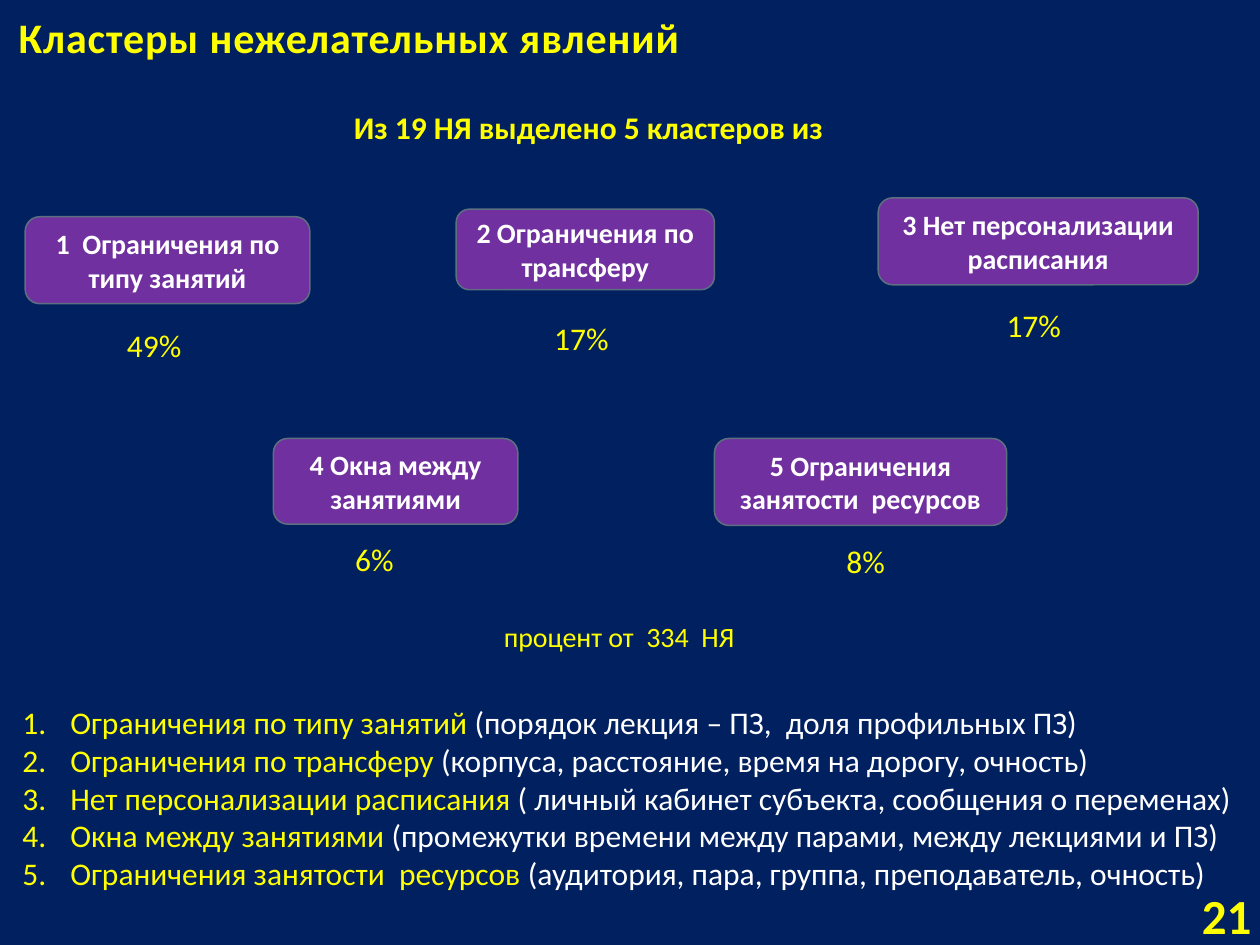
from lxml import etree
from pptx import Presentation
from pptx.dml.color import RGBColor
from pptx.enum.shapes import MSO_SHAPE as SHAPE
from pptx.enum.text import MSO_ANCHOR as ANCHOR, PP_ALIGN as ALIGN
from pptx.oxml.ns import qn
from pptx.util import Inches, Pt

NAVY, PURPLE, GREY = "002060", "7030A0", "5D7080"
YELLOW, WHITE = "FFFF00", "FFFFFF"

CLUSTERS = [
    ("1  Ограничения по типу занятий", (0.2, 1.72, 2.26, 0.69), "49%", (0.91, 2.54)),
    ("2 Ограничения по трансферу", (3.62, 1.66, 2.05, 0.64), "17%", (4.3, 2.48)),
    ("3 Нет персонализации расписания", (6.97, 1.57, 2.54, 0.69), "17%", (7.89, 2.38)),
    ("4 Окна между занятиями", (2.17, 3.48, 1.94, 0.68), "6%", (2.72, 4.24)),
    ("5 Ограничения занятости  ресурсов", (5.67, 3.48, 2.32, 0.69), "8%", (6.62, 4.25)),
]
DETAILS = [
    ("Ограничения по типу занятий ", "(порядок лекция – ПЗ,  доля профильных ПЗ)"),
    ("Ограничения по трансферу ", "(корпуса, расстояние, время на дорогу, очность)"),
    ("Нет персонализации расписания ", "( личный кабинет субъекта, сообщения о переменах)"),
    ("Окна между занятиями ", "(промежутки времени между парами, между лекциями и ПЗ)"),
    ("Ограничения занятости  ресурсов ", "(аудитория, пара, группа, преподаватель, очность)"),
]


def rgb(value):
    return RGBColor.from_string(value)


class SlideBuilder:
    """Holds the slide and its text style, and adds each kind of element."""

    font = "Calibri"

    def __init__(self, slide):
        self.s = slide
        fill = slide.background.fill
        fill.solid()
        fill.fore_color.rgb = rgb(NAVY)

    def style(self, r, size, color=YELLOW, bold=False):
        r.font.name = self.font
        r.font.size = Pt(size)
        r.font.bold = bold
        r.font.color.rgb = rgb(color)

    def box(self, at, wrap=True, anchor=ANCHOR.TOP):
        tf = self.s.shapes.add_textbox(*map(Inches, at)).text_frame
        tf.word_wrap = wrap
        tf.vertical_anchor = anchor
        return tf

    def text(self, text, at, size, bold=False, align=ALIGN.LEFT, spacing=0, **layout):
        tf = self.box(at, **layout)
        tf.text = text
        p = tf.paragraphs[0]
        p.alignment = align
        r = p.runs[0]
        self.style(r, size, bold=bold)
        if spacing:
            r.font._element.set("spc", str(round(spacing * 100)))

    def card(self, text, at):
        sp = self.s.shapes.add_shape(SHAPE.ROUNDED_RECTANGLE, *map(Inches, at))
        sp.shadow.inherit = False
        sp.fill.solid()
        sp.fill.fore_color.rgb = rgb(PURPLE)
        sp.line.color.rgb = rgb(GREY)
        sp.line.width = Pt(0.85)
        tf = sp.text_frame
        tf.word_wrap = True
        tf.vertical_anchor = ANCHOR.MIDDLE
        tf.text = text
        p = tf.paragraphs[0]
        p.alignment = ALIGN.CENTER
        self.style(p.runs[0], 16, WHITE, True)

    def numbered_list(self, items, at, size):
        tf = self.box(at)
        for i, parts in enumerate(items):
            p = tf.add_paragraph() if i else tf.paragraphs[0]
            pPr = p._p.get_or_add_pPr()
            pPr.set("marL", str(Inches(0.38)))
            pPr.set("indent", str(-Inches(0.38)))
            etree.SubElement(pPr, qn("a:buFont"), typeface="+mj-lt")
            etree.SubElement(pPr, qn("a:buAutoNum"), type="arabicPeriod")
            for part, color in zip(parts, (YELLOW, WHITE)):
                r = p.add_run()
                r.text = part
                self.style(r, size, color)


def main():
    prs = Presentation()
    prs.slide_width, prs.slide_height = Inches(10), Inches(7.5)
    b = SlideBuilder(prs.slides.add_slide(prs.slide_layouts[6]))
    b.text("Кластеры нежелательных явлений", (0.05, -0.05, 5.66, 0.68), 24, True,
           spacing=0.5, wrap=False, anchor=ANCHOR.MIDDLE)
    b.text("Из 19 НЯ выделено 5 кластеров из", (2.71, 0.81, 4.02, 0.4), 18, True)
    for name, at, share, corner in CLUSTERS:
        b.card(name, at)
        b.text(share, (*corner, 0.7, 0.4), 18)
    b.text("процент от  334  НЯ", (3.9, 4.87, 2.35, 0.37), 16)
    b.numbered_list(DETAILS, (0.08, 5.53, 9.93, 1.62), 18)
    b.text("21", (9.08, 7.06, 0.95, 0.4), 28, True, ALIGN.RIGHT, anchor=ANCHOR.MIDDLE)
    prs.save("out.pptx")


if __name__ == "__main__":
    main()
